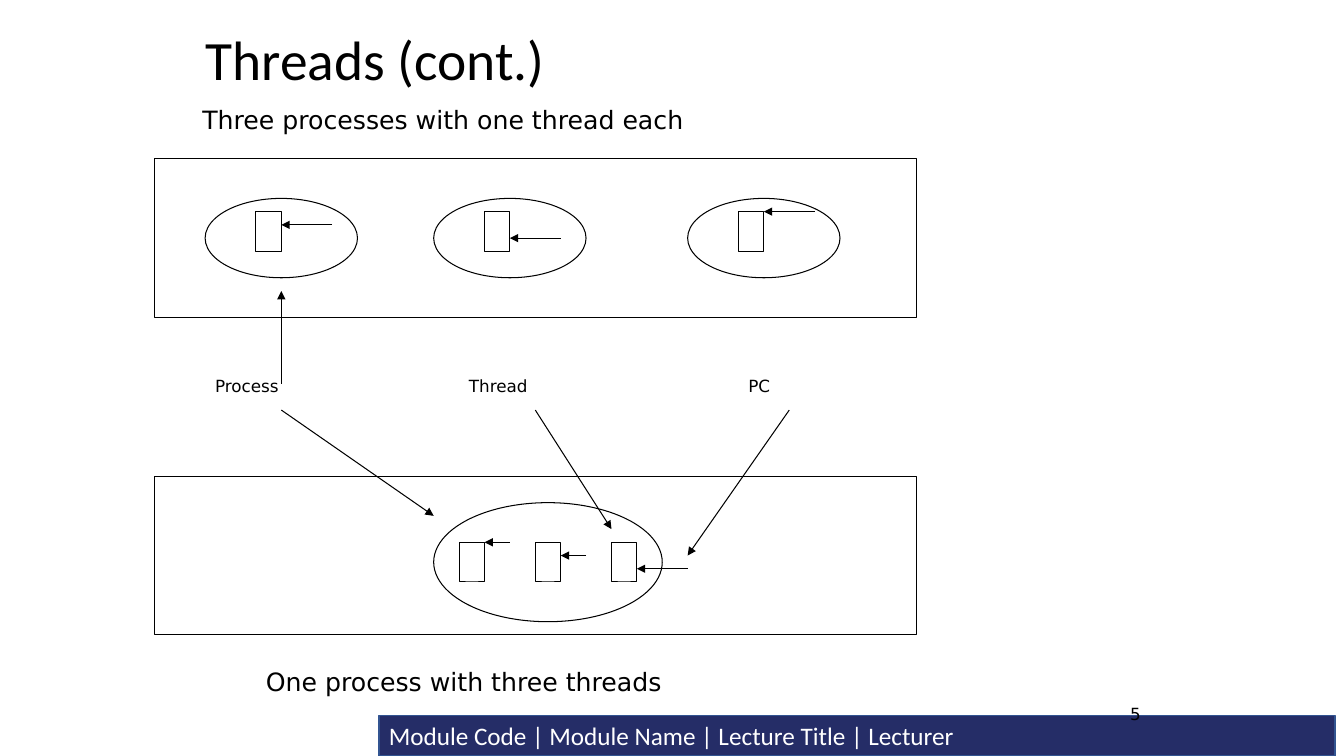
from lxml import etree
from pptx import Presentation
from pptx.dml.color import RGBColor
from pptx.enum.shapes import MSO_CONNECTOR, MSO_SHAPE
from pptx.enum.text import MSO_ANCHOR, PP_ALIGN
from pptx.oxml.ns import qn
from pptx.util import Cm, Pt

RECT, OVAL = MSO_SHAPE.RECTANGLE, MSO_SHAPE.OVAL
LINE = MSO_CONNECTOR.STRAIGHT
TOP, MIDDLE = MSO_ANCHOR.TOP, MSO_ANCHOR.MIDDLE
LEFT, RIGHT = PP_ALIGN.LEFT, PP_ALIGN.RIGHT
BLACK, WHITE, NAVY, BLUE = "000000", "FFFFFF", "252D67", "325491"
SANS, HEAD = "DejaVu Sans", "Calibri"

# The diagram sits on a grid of 30 columns by 12 rows per panel
COL, ROW = 0.64, 1 / 3
WIDE, HIGH = 30 * COL, 12 * ROW


def color(code):
    return RGBColor.from_string(code)


def cell(box, col, row, wide=0, high=0):
    """Turn grid units inside a box into lengths in cm."""
    return box[0] + col * COL, box[1] + row * ROW, wide * COL, high * ROW


def shape(slide, kind, box, fill=WHITE, line=BLACK, width=0.75):
    item = slide.shapes.add_shape(kind, *map(Cm, box))
    item.shadow.inherit = False
    item.fill.solid()
    item.fill.fore_color.rgb = color(fill)
    if line:
        item.line.color.rgb = color(line)
        item.line.width = Pt(width)
    else:
        item.line.fill.background()
    return item


def write(item, text, size, font=SANS, ink=BLACK, anchor=TOP, align=LEFT, space=1.0):
    frame = item.text_frame
    para = frame.paragraphs[0]
    run = para.add_run()
    run.text = text
    run.font.color.rgb = color(ink)
    formats = (
        (frame, {"word_wrap": True, "vertical_anchor": anchor}),
        (para, {"alignment": align, "line_spacing": space}),
        (run.font, {"name": font, "size": Pt(size)}),
    )
    for part, values in formats:
        for name, value in values.items():
            setattr(part, name, value)


def arrow(slide, box, start, end):
    ends = cell(box, *start)[:2] + cell(box, *end)[:2]
    item = slide.shapes.add_connector(LINE, *map(Cm, ends))
    item.line.color.rgb = color(BLACK)
    item.line.width = Pt(0.75)
    etree.SubElement(item.line._get_or_add_ln(), qn("a:tailEnd"), type="triangle")
    etree.SubElement(item._element.spPr, qn("a:effectLst"))


def label(slide, box, text, size):
    write(shape(slide, RECT, box, line=None), text, size)


def footer(slide, box):
    bar = shape(slide, RECT, box, NAVY, BLUE, 1)
    text = "Module Code | Module Name | Lecture Title | Lecturer"
    write(bar, text, 18, HEAD, WHITE, MIDDLE)
    left, top, wide, _ = box
    spot = left + wide - 7.19, top - 0.69, 2.54, 1.27
    page = slide.shapes.add_textbox(*map(Cm, spot))
    write(page, "5", 12, anchor=MIDDLE, align=RIGHT)


def title(slide, box):
    item = slide.shapes.add_textbox(*map(Cm, box))
    write(item, "Threads (cont.)", 39.6, HEAD, anchor=MIDDLE, space=0.9)


def panel(slide, box, ovals, threads, top):
    """Draw processes as ovals, each thread as a box with its PC arrow."""
    shape(slide, RECT, box)
    for spot in ovals:
        shape(slide, OVAL, cell(box, *spot))
    for col, row, reach in threads:
        shape(slide, RECT, cell(box, col, top, 1, 3))
        arrow(slide, box, (col + 1 + reach, row), (col + 1, row))


def legend(slide, box):
    """Name the parts and point at them; rows count from the box top."""
    for text, col, wide in (("Process", 2, 7), ("Thread", 12, 7), ("PC", 23, 4)):
        label(slide, cell(box, col, 0, wide, 4), text, 12)
    for start, end in (
        ((5, 1), (5, -6)),
        ((5, 3), (11, 11)),
        ((15, 3), (18, 12)),
        ((25, 3), (21, 14)),
    ):
        arrow(slide, box, start, end)


def diagram(slide, box):
    # Three processes, one thread each
    cols = (2, 11, 21)
    threads = [(col + 2, row, 2) for col, row in zip(cols, (5, 6, 4))]
    ovals = [(col, 3, 6, 6) for col in cols]
    panel(slide, cell(box, 0, 0, 30, 12), ovals, threads, 4)

    # One process, three threads
    threads = ((12, 5, 1), (15, 6, 1), (18, 7, 2))
    panel(slide, cell(box, 0, 24, 30, 12), [(11, 2, 9, 9)], threads, 5)

    # Names between the panels, captions outside
    legend(slide, cell(box, 0, 16, 30, 4))
    label(slide, cell(box, 1.5, -4.5, 28, 4), "Three processes with one thread each", 18)
    label(slide, cell(box, 4, 38, 24, 4), "One process with three threads", 18)


def main():
    deck = Presentation()
    deck.slide_width, deck.slide_height = Cm(33.87), Cm(19.05)
    slide = deck.slides.add_slide(deck.slide_layouts[6])
    footer(slide, (9.55, 18.03, 24.1, 1.02))
    title(slide, (4.93, 0.86, 23.93, 1.45))
    diagram(slide, (3.89, 4, WIDE, 3 * HIGH))
    deck.save("out.pptx")


if __name__ == "__main__":
    main()
